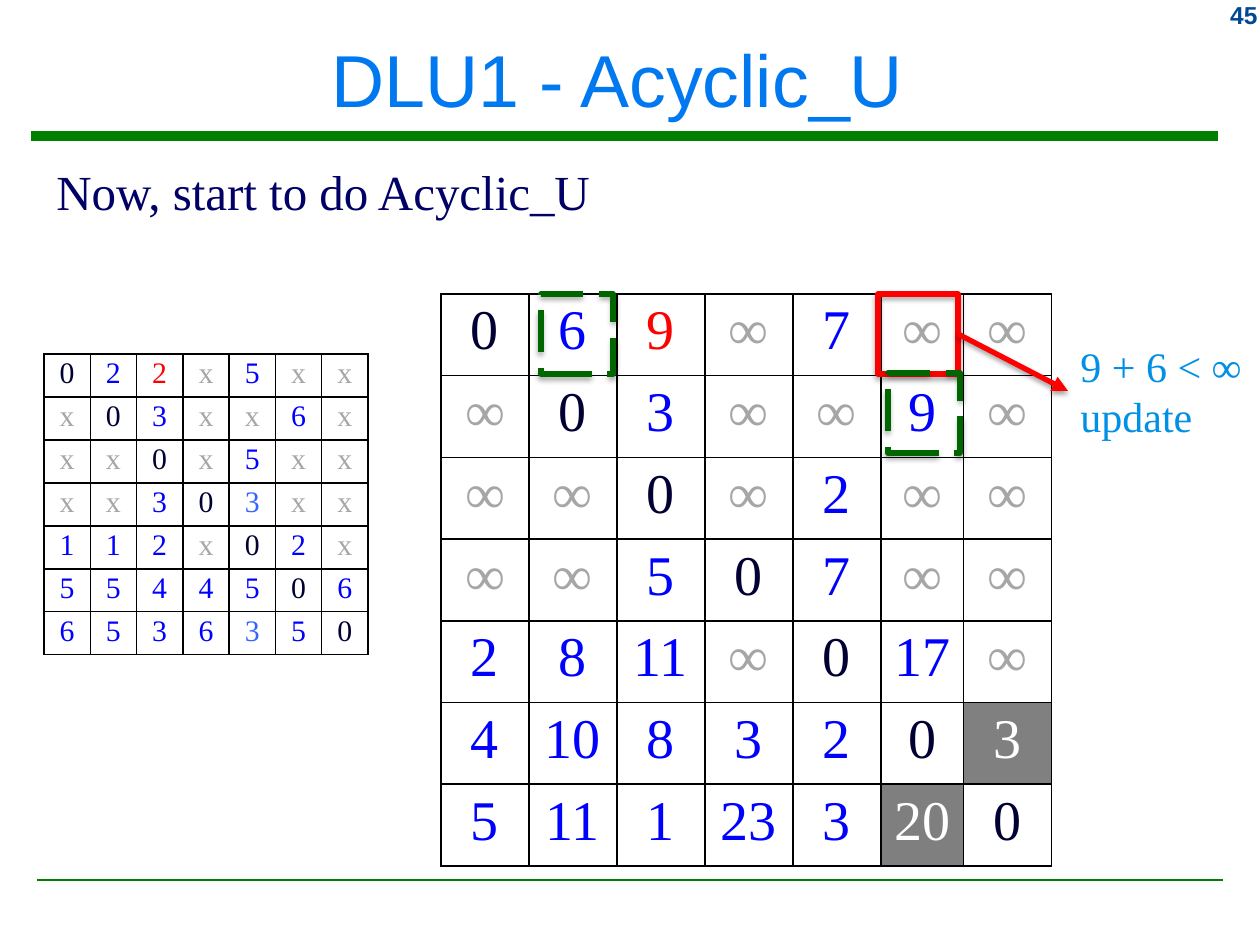
"""Builds the slide that steps through Acyclic_U on a distance matrix."""
import pptx
import pptx.dml.color
import pptx.enum.dml
import pptx.enum.shapes
import pptx.enum.text
import pptx.oxml
import pptx.oxml.ns
import pptx.util

EMU_PER_PX = 914400 / 126
SERIF, SANS = "Times New Roman", "Arial"
GREEN, DARK_GREEN, RED = "008000", "006600", "FF0000"
BLUE, LIGHT_BLUE, NAVY, PALE = "0000FF", "3366FF", "000033", "A6A6A6"
WHITE, GREY, BLACK = "FFFFFF", "808080", "000000"
ALIGN = pptx.enum.text.PP_ALIGN
ANCHOR = pptx.enum.text.MSO_ANCHOR
FIT = pptx.enum.text.MSO_AUTO_SIZE
DASH = pptx.enum.dml.MSO_LINE

WEIGHTS = """0 2 2 x 5 x x
x 0 3 x x 6 x
x x 0 x 5 x x
x x 3 0 3 x x
1 1 2 x 0 2 x
5 5 4 4 5 0 6
6 5 3 6 3 5 0"""

DISTANCES = """0 6 9 ∞ 7 ∞ ∞
∞ 0 3 ∞ ∞ 9 ∞
∞ ∞ 0 ∞ 2 ∞ ∞
∞ ∞ 5 0 7 ∞ ∞
2 8 11 ∞ 0 17 ∞
4 10 8 3 2 0 3
5 11 1 23 3 20 0"""


def px(length):
    return pptx.util.Emu(round(length * EMU_PER_PX))


def rgb(value):
    return pptx.dml.color.RGBColor.from_string(value)


def add_xml(parent, tag, body, attributes=""):
    namespace = pptx.oxml.ns.nsdecls("a")
    parent.append(pptx.oxml.parse_xml(f"<a:{tag} {namespace} {attributes}>{body}</a:{tag}>"))


def value_color(value):
    return {"0": NAVY, "x": PALE, "∞": PALE}.get(value, BLUE)


class SlideBuilder:
    """Holds the slide style and the current slide."""

    def __init__(self, page, font=SERIF):
        self.page = page
        self.font = font

    def add_span(self, para, text, size, color, font=None, bold=False):
        span = para.add_run()
        span.text = text
        span.font.name = font or self.font
        span.font.size = pptx.util.Pt(size)
        span.font.bold = bold
        span.font.color.rgb = rgb(color)

    def text(self, place, lines, size, color, align=ALIGN.LEFT, anchor=ANCHOR.TOP,
             font=None, bold=False, wrap=True, group=None):
        box = (group or self.page).shapes.add_textbox(*map(px, place))
        frame = box.text_frame
        frame.word_wrap = wrap
        frame.auto_size = FIT.NONE if wrap else FIT.SHAPE_TO_FIT_TEXT
        frame.vertical_anchor = anchor
        for index, line in enumerate(lines):
            para = frame.add_paragraph() if index else frame.paragraphs[0]
            para.alignment = align
            self.add_span(para, line, size, color, font, bold)
        return box

    def shadow(self, shape, opacity, distance):
        add_xml(shape._element.spPr, "effectLst",
                f'<a:outerShdw blurRad="40000" dist="{distance}" dir="5400000" rotWithShape="0">'
                f'<a:srgbClr val="{BLACK}"><a:alpha val="{opacity}000"/></a:srgbClr></a:outerShdw>')

    def frame(self, place, color, dash=None, group=None):
        box = (group or self.page).shapes.add_shape(
            pptx.enum.shapes.MSO_SHAPE.RECTANGLE, *map(px, place))
        box.fill.background()
        box.line.color.rgb = rgb(color)
        box.line.width = pptx.util.Pt(3)
        if dash:
            box.line.dash_style = dash
        self.shadow(box, 35, 23000)
        return box

    def line(self, start, end, color, width, group=None):
        rule = (group or self.page).shapes.add_connector(
            pptx.enum.shapes.MSO_CONNECTOR.STRAIGHT, *map(px, start + end))
        rule.line.color.rgb = rgb(color)
        rule.line.width = pptx.util.Pt(width)
        if not group:
            add_xml(rule._element.spPr, "effectLst", "")
        return rule

    def arrow(self, source, target, color, group):
        rule = self.line((0, 0), (1, 1), color, 3, group)
        rule.begin_connect(source, 3)
        rule.end_connect(target, 1)
        add_xml(rule.line._get_or_add_ln(), "tailEnd", "", 'type="triangle"')
        self.shadow(rule, 38, 20000)

    def matrix(self, place, values, size, insets, shares, colors, fills):
        rows = [line.split() for line in values.splitlines()]
        left, top, width, height = place
        table = self.page.shapes.add_table(len(rows), len(shares), *map(px, place)).table
        table.first_row = table.horz_banding = False
        for column, share in zip(table.columns, shares):
            column.width = px(width * share / sum(shares))
        for row_index, row in enumerate(rows):
            table.rows[row_index].height = px(height / len(rows))
            for column_index, value in enumerate(row):
                spot = row_index, column_index
                cell = table.cell(*spot)
                cell.margin_left = cell.margin_right = px(insets[0])
                cell.margin_top = cell.margin_bottom = px(insets[1])
                for side in "LRTB":
                    add_xml(cell._tc.get_or_add_tcPr(), f"ln{side}",
                            f'<a:solidFill><a:srgbClr val="{BLACK}"/></a:solidFill>', 'w="12700"')
                cell.fill.solid()
                cell.fill.fore_color.rgb = rgb(fills.get(spot, WHITE))
                para = cell.text_frame.paragraphs[0]
                para.alignment = ALIGN.CENTER
                self.add_span(para, value, size, colors.get(spot, value_color(value)))


def main():
    deck = pptx.Presentation()
    deck.slide_width, deck.slide_height = px(1260), px(945)
    page = deck.slides.add_slide(deck.slide_layouts[6])
    builder = SlideBuilder(page)

    builder.line((31, 136), (1218, 136), GREEN, 5.25)
    builder.line((37, 880), (1223, 880), GREEN, 1)
    builder.text((1155, -6, 115, 41), ["45"], 14, "004992", ALIGN.RIGHT, font=SANS, bold=True)
    builder.text((10, 11, 1235, 134), ["DLU1 - Acyclic_U "], 42, "0078F0",
                 ALIGN.CENTER, ANCHOR.MIDDLE, SANS)
    builder.text((44, 155, 567, 72), ["Now, start to do Acyclic_U"], 28, "000066", wrap=False)

    builder.matrix((44, 354, 324, 301), WEIGHTS, 17, (6, 3), [1] * 7,
                   {(0, 2): RED, (3, 4): LIGHT_BLUE, (6, 4): LIGHT_BLUE}, {})
    builder.matrix((441, 294, 611, 572), DISTANCES, 32, (11, 6), [88] * 5 + [83, 88],
                   {(0, 2): RED, (5, 6): WHITE, (6, 5): WHITE},
                   {(5, 6): GREY, (6, 5): "7F7F7F"})

    update = page.shapes.add_group_shape()
    target = builder.frame((878, 294, 80, 80), RED, group=update)
    note = builder.text((1068, 334, 188, 114), ["9 + 6 < ∞", "update"], 24, "0090E5",
                        wrap=False, group=update)
    builder.arrow(target, note, RED, update)
    for left, top in ((541, 294), (888, 373)):
        builder.frame((left, top, 72, 80), DARK_GREEN, DASH.LONG_DASH)

    deck.save("out.pptx")


if __name__ == "__main__":
    main()
